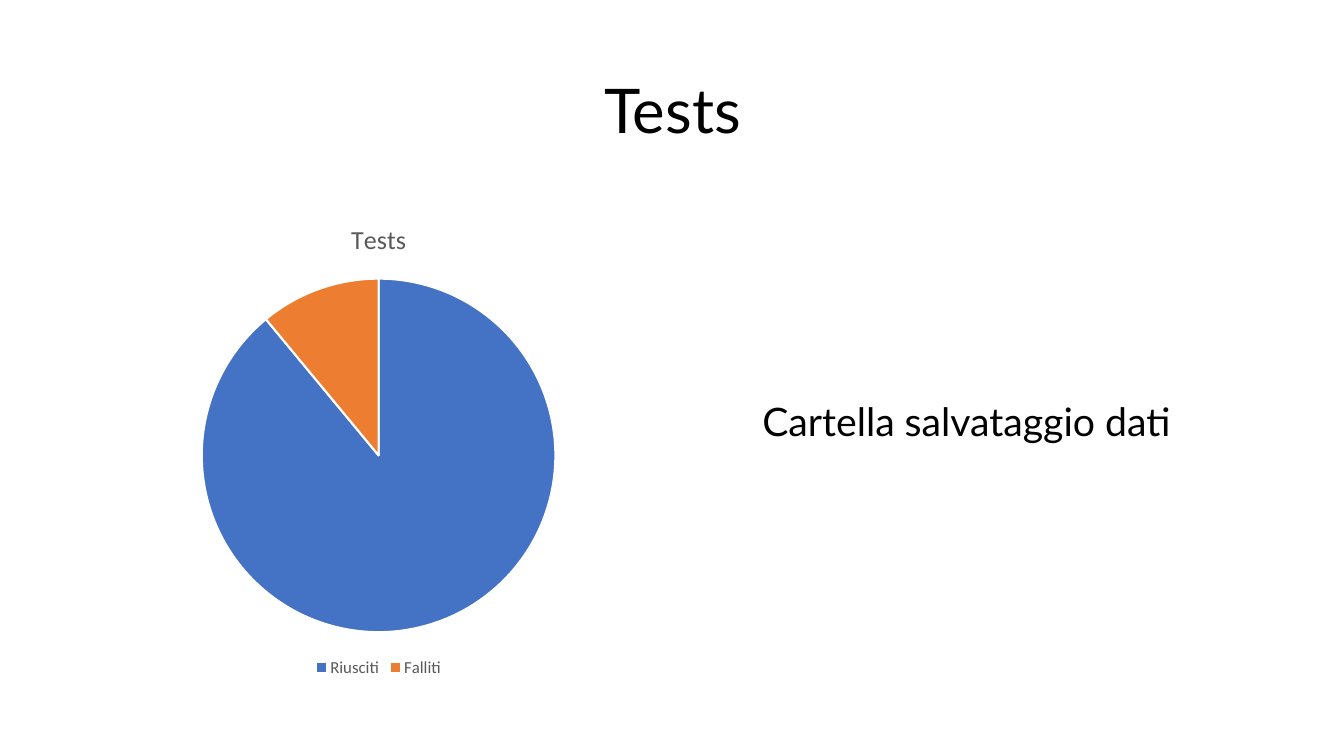
from dataclasses import dataclass

from pptx import Presentation
from pptx.chart.data import CategoryChartData
from pptx.dml.color import RGBColor
from pptx.enum.chart import XL_CHART_TYPE, XL_LEGEND_POSITION
from pptx.enum.text import MSO_ANCHOR, PP_ALIGN
from pptx.util import Inches, Pt

PIE = XL_CHART_TYPE.PIE
LEGEND_BOTTOM = XL_LEGEND_POSITION.BOTTOM
MIDDLE = MSO_ANCHOR.MIDDLE
CENTER = PP_ALIGN.CENTER


@dataclass(frozen=True)
class Theme:
    text_font: str = "Lato"
    chart_font: str = "Calibri"
    ink: str = "000000"
    muted: str = "595959"
    paper: str = "FFFFFF"
    slices: tuple = ("4472C4", "ED7D31")
    title_size: float = 44
    body_size: float = 28
    chart_title_size: float = 18.6
    legend_size: float = 12
    chart_size: float = 10


THEME = Theme()


def style_font(font, name, size, color):
    font.name = name
    font.size = Pt(size)
    font.bold = False
    font.color.rgb = RGBColor.from_string(color)


def add_text(slide, text, left, top, width, height, *, size,
             color=THEME.ink, font=THEME.text_font, space_before=0):
    """Add a wrapped text box, centred both ways."""
    box = slide.shapes.add_textbox(
        Inches(left), Inches(top), Inches(width), Inches(height))
    frame = box.text_frame
    frame.word_wrap = True
    frame.vertical_anchor = MIDDLE
    paragraph = frame.paragraphs[0]
    paragraph.alignment = CENTER
    paragraph.line_spacing = 0.9
    paragraph.space_before = Pt(space_before)
    run = paragraph.add_run()
    run.text = text
    style_font(run.font, font, size, color)


def add_pie(slide, title, results, left, top, width, height):
    """Add a titled pie chart with one slice per result."""
    data = CategoryChartData()
    data.categories = list(results)
    data.add_series(title, list(results.values()))
    chart = slide.shapes.add_chart(
        PIE, Inches(left), Inches(top), Inches(width), Inches(height), data).chart
    style_font(chart.font, THEME.chart_font, THEME.chart_size, THEME.ink)

    # Chart title
    chart.has_title = True
    chart.chart_title.include_in_layout = False
    heading = chart.chart_title.text_frame.paragraphs[0].add_run()
    heading.text = title
    style_font(heading.font, THEME.chart_font, THEME.chart_title_size, THEME.muted)

    # Legend
    chart.has_legend = True
    chart.legend.position = LEGEND_BOTTOM
    chart.legend.include_in_layout = False
    style_font(chart.legend.font, THEME.chart_font, THEME.legend_size, THEME.muted)

    # Slices
    plot = chart.plots[0]
    plot.vary_by_categories = True
    for index, color in enumerate(THEME.slices):
        slice_format = plot.series[0].points[index].format
        slice_format.fill.solid()
        slice_format.fill.fore_color.rgb = RGBColor.from_string(color)
        slice_format.line.color.rgb = RGBColor.from_string(THEME.paper)
        slice_format.line.width = Pt(1.5)


def main():
    deck = Presentation()
    deck.slide_width, deck.slide_height = Inches(13.33), Inches(7.5)
    slide = deck.slides.add_slide(deck.slide_layouts[6])

    # Heading
    add_text(slide, "Tests", 0.92, 0.4, 11.5, 1.45, size=THEME.title_size)

    # Test results on the left, caption on the right
    add_pie(slide, "Tests", {"Riusciti": 89, "Falliti": 11}, 0.92, 2, 5.67, 4.76)
    add_text(slide, "Cartella salvataggio dati", 6.75, 2, 5.67, 4.41,
             size=THEME.body_size, space_before=10)

    deck.save("out.pptx")


if __name__ == "__main__":
    main()
